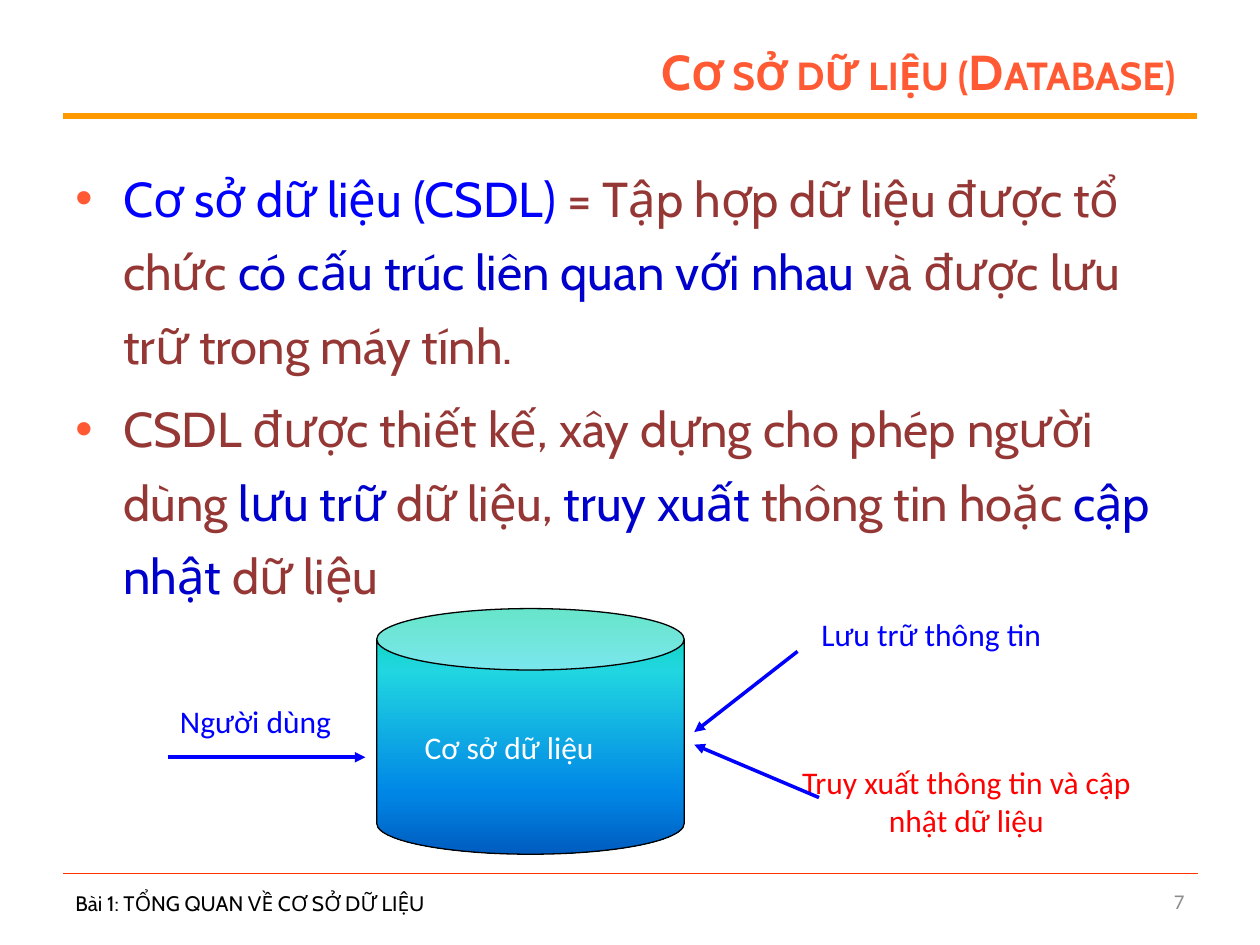
from dataclasses import dataclass

from lxml import etree
from pptx import Presentation
from pptx.dml.color import RGBColor
from pptx.enum.dml import MSO_LINE
from pptx.enum.shapes import MSO_CONNECTOR, MSO_SHAPE
from pptx.enum.text import MSO_ANCHOR, PP_ALIGN
from pptx.oxml.ns import qn
from pptx.util import Inches, Pt

CAN = MSO_SHAPE.CAN
STRAIGHT = MSO_CONNECTOR.STRAIGHT
DOTTED = MSO_LINE.ROUND_DOT
TOP, MIDDLE = MSO_ANCHOR.TOP, MSO_ANCHOR.MIDDLE
LEFT, CENTER, RIGHT = PP_ALIGN.LEFT, PP_ALIGN.CENTER, PP_ALIGN.RIGHT


@dataclass(frozen=True)
class Theme:
    heading_font: str = "Cabin"
    label_font: str = "Calibri"
    large: int = 28
    medium: int = 18
    small: int = 12
    accent: str = "FF5A33"
    rule: str = "FF9900"
    footer_rule: str = "FF3300"
    body: str = "953735"
    term: str = "0000FF"
    emphasis: str = "0000CC"
    warning: str = "FF0000"
    black: str = "000000"
    white: str = "FFFFFF"
    muted: str = "8C8C8C"
    can_stops: tuple = ((0, "03D4A8"), (25, "21D6E0"), (75, "0087E6"), (100, "005CBF"))


THEME = Theme()

BULLETS = (
    (
        ("Cơ sở dữ liệu (CSDL) ", THEME.term),
        ("= Tập hợp dữ liệu được tổ chức ", THEME.body),
        ("có cấu trúc liên quan với nhau ", THEME.emphasis),
        ("và được lưu trữ trong máy tính.", THEME.body),
    ),
    (
        ("CSDL được thiết kế, xây dựng cho phép người dùng ", THEME.body),
        ("lưu trữ ", THEME.emphasis),
        ("dữ liệu, ", THEME.body),
        ("truy xuất ", THEME.emphasis),
        ("thông tin hoặc ", THEME.body),
        ("cập nhật ", THEME.emphasis),
        ("dữ liệu", THEME.body),
    ),
)

LABELS = (
    ("Người dùng", (1.33, 5.52, 1.65, 0.4), THEME.term, LEFT),
    ("Truy xuất thông tin và cập nhật dữ liệu", (6.17, 6.01, 3, 0.71), THEME.warning, CENTER),
    ("Lưu trữ thông tin", (6.42, 4.83, 2.75, 0.4), THEME.term, LEFT),
)

ARROWS = (
    ((6.33, 5.17), (5.51, 5.81)),
    ((6.5, 6.33), (5.51, 5.91)),
    ((1.33, 6.01), (2.9, 6.01)),
)


def rgb(value):
    return RGBColor.from_string(value)


def style(p, font, size, color, align=LEFT):
    p.alignment = align
    p.font.name = font
    p.font.size = Pt(size)
    p.font.color.rgb = rgb(color)


def add_frame(slide, box, anchor=TOP):
    tf = slide.shapes.add_textbox(*map(Inches, box)).text_frame
    tf.word_wrap = True
    tf.vertical_anchor = anchor
    return tf


def add_text(slide, text, box, font, size, color, align=LEFT, anchor=TOP):
    p = add_frame(slide, box, anchor).paragraphs[0]
    r = p.add_run()
    r.text = text
    style(p, font, size, color, align)
    return r


def add_title(slide, text, box):
    r = add_text(slide, text, box, THEME.heading_font, THEME.large, THEME.accent, RIGHT, MIDDLE)
    r.font.bold = True
    r.font._element.set("cap", "small")


def set_bullet(p, color):
    pPr = p._p.get_or_add_pPr()
    pPr.set("marL", str(Inches(0.38)))
    pPr.set("indent", str(-Inches(0.38)))
    clr = etree.Element(qn("a:buClr"))
    etree.SubElement(clr, qn("a:srgbClr"), val=color)
    font = etree.Element(qn("a:buFont"), typeface="Arial")
    char = etree.Element(qn("a:buChar"), char="•")
    at = list(pPr).index(pPr.find(qn("a:defRPr")))
    pPr[at:at] = [clr, font, char]


def add_bullets(slide, items, box):
    tf = add_frame(slide, box)
    for i, runs in enumerate(items):
        p = tf.add_paragraph() if i else tf.paragraphs[0]
        style(p, THEME.heading_font, THEME.large, THEME.body)
        p.line_spacing = 1.25
        p.space_before = Pt(0.2 * THEME.large)
        set_bullet(p, THEME.accent)
        for text, color in runs:
            r = p.add_run()
            r.text = text
            r.font.color.rgb = rgb(color)


def add_line(slide, start, end, color, width, dash=None, arrow=False):
    line = slide.shapes.add_connector(STRAIGHT, *map(Inches, start + end))
    line.line.color.rgb = rgb(color)
    line.line.width = Pt(width)
    if dash:
        line.line.dash_style = dash
    if arrow:
        etree.SubElement(line.line._get_or_add_ln(), qn("a:tailEnd"), type="triangle")
    etree.SubElement(line._element.spPr, qn("a:effectLst"))


def set_gradient(sp, stops):
    sp.fill.gradient()
    sp.fill.gradient_angle = 270
    stop_list = sp._element.spPr.find(qn("a:gradFill")).find(qn("a:gsLst"))
    stop_list.clear()
    for percent, color in stops:
        stop = etree.SubElement(stop_list, qn("a:gs"), pos=str(percent * 1000))
        etree.SubElement(stop, qn("a:srgbClr"), val=color)


def add_database(slide, text, box):
    sp = slide.shapes.add_shape(CAN, *map(Inches, box))
    sp.adjustments[0] = 0.25
    sp.shadow.inherit = False
    set_gradient(sp, THEME.can_stops)
    sp.line.color.rgb = rgb(THEME.black)
    sp.line.width = Pt(0.75)
    tf = sp.text_frame
    tf.word_wrap = True
    tf.vertical_anchor = MIDDLE
    tf.margin_left = Inches(0.38)
    p = tf.paragraphs[0]
    p.text = text
    style(p, THEME.label_font, THEME.medium, THEME.white)


def main():
    prs = Presentation()
    prs.slide_width, prs.slide_height = Inches(10), Inches(7.5)
    slide = prs.slides.add_slide(prs.slide_layouts[6])

    add_text(slide, "Bài 1: TỔNG QUAN VỀ CƠ SỞ DỮ LIỆU", (0.5, 6.97, 3.17, 0.4),
             THEME.heading_font, THEME.small, THEME.black, anchor=MIDDLE)
    add_line(slide, (0.5, 6.93), (9.5, 6.93), THEME.footer_rule, 0.25, DOTTED)
    add_line(slide, (0.5, 0.92), (9.5, 0.92), THEME.rule, 3)
    add_title(slide, "Cơ sở dữ liệu (Database) ", (2.25, 0.3, 7.25, 0.53))
    add_bullets(slide, BULLETS, (0.5, 1.17, 9, 5.75))
    add_text(slide, "7", (7.17, 6.95, 2.33, 0.4),
             THEME.label_font, THEME.small, THEME.muted, RIGHT, MIDDLE)

    add_database(slide, "Cơ sở dữ liệu", (2.99, 4.83, 2.44, 1.95))
    for text, box, color, align in LABELS:
        add_text(slide, text, box, THEME.label_font, THEME.medium, color, align)
    for start, end in ARROWS:
        add_line(slide, start, end, THEME.term, 2, arrow=True)

    prs.save("out.pptx")


if __name__ == "__main__":
    main()
